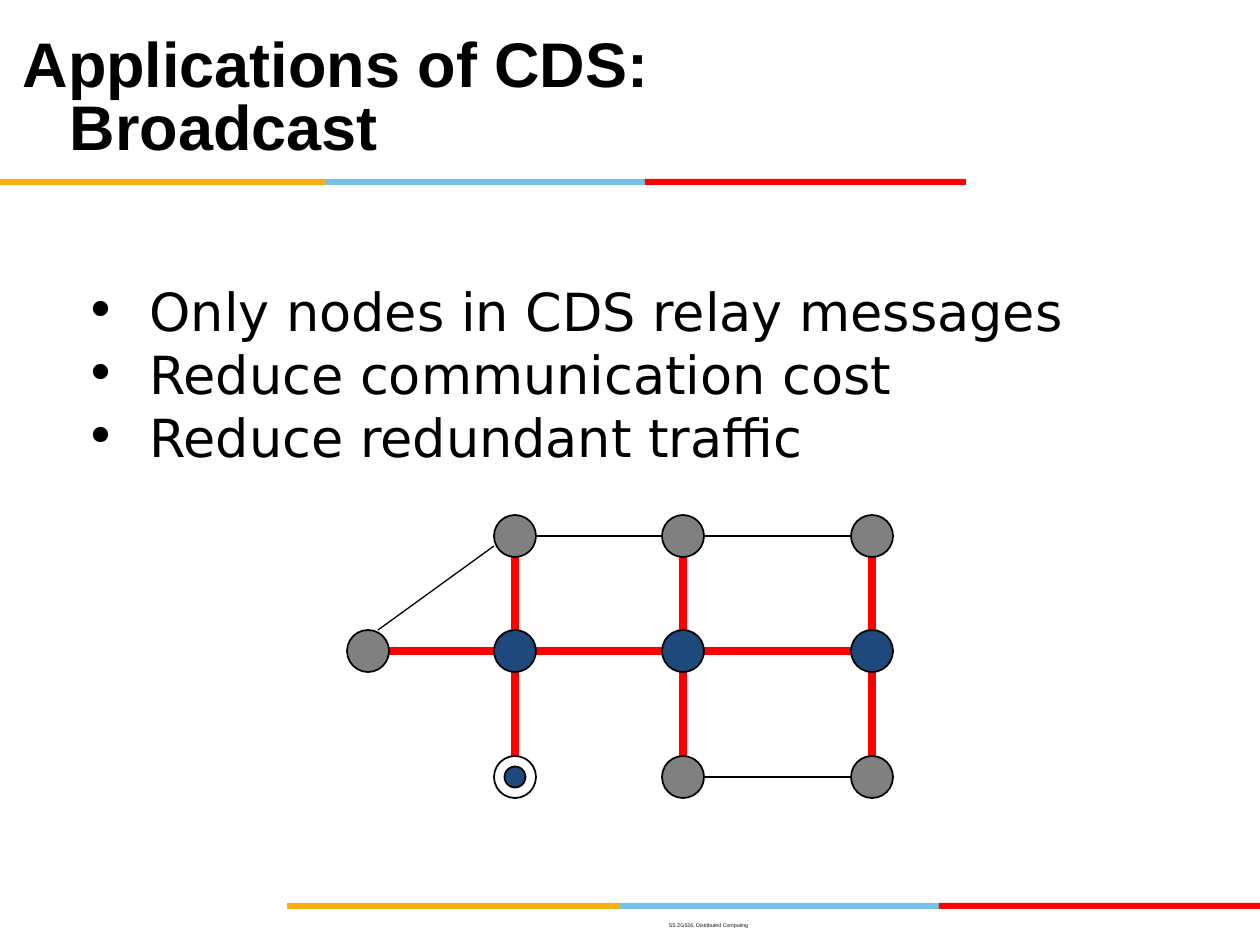
from dataclasses import dataclass

import pptx
import pptx.dml.color
import pptx.enum.shapes
import pptx.enum.text
import pptx.oxml
import pptx.oxml.ns
import pptx.util

PX = 914400 / 126
SHAPES = pptx.enum.shapes.MSO_SHAPE
ANCHOR = pptx.enum.text.MSO_ANCHOR
ALIGN = pptx.enum.text.PP_ALIGN
AUTO_SIZE = pptx.enum.text.MSO_AUTO_SIZE


@dataclass(frozen=True)
class Theme:
    ink: str = "000000"
    footer_ink: str = "111111"
    bars: tuple = ("FCB017", "76C2E5", "FF0000")
    relay: str = "FF0000"
    dominator: str = "1F497D"
    ordinary: str = "808080"
    source: str = "FFFFFF"
    heading_font: str = "Arial"
    body_font: str = "DejaVu Sans"
    title_size: int = 36
    body_size: int = 30
    footer_size: int = 3
    line_pitch: int = 36
    thin: float = 0.75
    outline: int = 1
    thick: float = 4.5


THEME = Theme()

NODE_SIZE = 42
COLUMNS = (368, 515, 683, 872)
ROWS = (536, 651, 777)
# Nodes are (column, row) positions in the network.
DOMINATORS = [(1, 1), (2, 1), (3, 1)]
ORDINARY = [(1, 0), (2, 0), (3, 0), (0, 1), (2, 2), (3, 2)]
SOURCE = (1, 2)
RELAY_EDGES = [((column, 1), (column + 1, 1)) for column in range(3)] + [
    ((column, row), (column, row + 1)) for column in (1, 2, 3) for row in (0, 1)
]
PLAIN_EDGES = [((1, 0), (2, 0)), ((2, 0), (3, 0)), ((2, 2), (3, 2))]


def px(value):
    return pptx.util.Emu(round(value * PX))


def rgb(value):
    return pptx.dml.color.RGBColor.from_string(value)


def place(shape, left, top, width, height):
    shape.left, shape.top = px(left), px(top)
    shape.width, shape.height = px(width), px(height)


def add_run(paragraph, text, font, size, color, bold=False):
    run = paragraph.add_run()
    run.text = text
    run.font.name = font
    run.font.size = pptx.util.Pt(size)
    run.font.bold = bold
    run.font.color.rgb = rgb(color)


def set_indent(paragraph, indent):
    """Hang the first line back by the left margin."""
    properties = paragraph._p.get_or_add_pPr()
    properties.set("marL", str(px(indent)))
    properties.set("indent", str(-px(indent)))
    return properties


def add_bullet(paragraph, color):
    properties = set_indent(paragraph, 64)
    namespace = pptx.oxml.ns.nsdecls("a")
    for xml in (
        f'<a:buClr {namespace}><a:srgbClr val="{color}"/></a:buClr>',
        f'<a:buFont {namespace} typeface="{THEME.body_font}"/>',
        f'<a:buChar {namespace} char="•"/>',
    ):
        properties.append(pptx.oxml.parse_xml(xml))


def fill_title(shape, text):
    place(shape, 10, 21, 956, 158)
    frame = shape.text_frame
    frame.word_wrap = True
    frame.auto_size = AUTO_SIZE.NONE
    frame.vertical_anchor = ANCHOR.MIDDLE
    paragraph = frame.paragraphs[0]
    set_indent(paragraph, 47)
    paragraph.alignment = ALIGN.LEFT
    paragraph.line_spacing = pptx.util.Pt(THEME.title_size)
    add_run(paragraph, text, THEME.heading_font, THEME.title_size, THEME.ink, bold=True)


def fill_list(shape, items):
    place(shape, 73, 273, 1092, 202)
    frame = shape.text_frame
    frame.word_wrap = True
    frame.auto_size = AUTO_SIZE.SHAPE_TO_FIT_TEXT
    for index, item in enumerate(items):
        paragraph = frame.add_paragraph() if index else frame.paragraphs[0]
        paragraph.line_spacing = pptx.util.Pt(THEME.line_pitch)
        paragraph.space_before = pptx.util.Pt(0)
        add_bullet(paragraph, THEME.ink)
        add_run(paragraph, item, THEME.body_font, THEME.body_size, THEME.ink)


def add_footer(slide, text):
    shape = slide.shapes.add_textbox(px(357), px(915), px(703), px(20))
    frame = shape.text_frame
    frame.word_wrap = True
    frame.vertical_anchor = ANCHOR.MIDDLE
    paragraph = frame.paragraphs[0]
    paragraph.alignment = ALIGN.CENTER
    add_run(paragraph, text, THEME.heading_font, THEME.footer_size, THEME.footer_ink)


def add_filled(slide, kind, left, top, width, height, color):
    shape = slide.shapes.add_shape(kind, px(left), px(top), px(width), px(height))
    shape.shadow.inherit = False
    shape.fill.solid()
    shape.fill.fore_color.rgb = rgb(color)
    return shape


def add_color_bar(slide, top, stops):
    for left, right, color in zip(stops, stops[1:], THEME.bars):
        bar = add_filled(slide, SHAPES.RECTANGLE, left, top, right - left, 6, color)
        bar.line.fill.background()


def add_node(slide, node, color, size=NODE_SIZE):
    column, row = node
    circle = add_filled(
        slide, SHAPES.OVAL, COLUMNS[column] - size / 2, ROWS[row] - size / 2, size, size, color
    )
    circle.line.color.rgb = rgb(THEME.ink)
    circle.line.width = pptx.util.Pt(THEME.outline)


def add_line(slide, start, end, color, width):
    line = slide.shapes.add_connector(
        pptx.enum.shapes.MSO_CONNECTOR.STRAIGHT, *map(px, (*start, *end))
    )
    line.line.color.rgb = rgb(color)
    line.line.width = pptx.util.Pt(width)
    effects = pptx.oxml.parse_xml(f'<a:effectLst {pptx.oxml.ns.nsdecls("a")}/>')
    line._element.spPr.append(effects)


def add_edge(slide, edge, color, width):
    """Join the facing rims of two nodes in the same row or column."""
    (column, row), (next_column, next_row) = edge
    radius = NODE_SIZE // 2
    across, down = radius * (next_column - column), radius * (next_row - row)
    start = (COLUMNS[column] + across, ROWS[row] + down)
    end = (COLUMNS[next_column] - across, ROWS[next_row] - down)
    add_line(slide, start, end, color, width)


def add_network(slide):
    add_line(slide, (378, 630), (494, 546), THEME.ink, THEME.thin)
    for edge in PLAIN_EDGES:
        add_edge(slide, edge, THEME.ink, THEME.thin)
    for edge in RELAY_EDGES:
        add_edge(slide, edge, THEME.relay, THEME.thick)
    for node in DOMINATORS:
        add_node(slide, node, THEME.dominator)
    for node in ORDINARY:
        add_node(slide, node, THEME.ordinary)
    add_node(slide, SOURCE, THEME.source)
    add_node(slide, SOURCE, THEME.dominator, NODE_SIZE // 2)


def main():
    presentation = pptx.Presentation()
    presentation.slide_width, presentation.slide_height = px(1260), px(945)
    slide = presentation.slides.add_slide(presentation.slide_layouts[1])
    add_color_bar(slide, 903, (287, 620, 939, 1260))
    add_color_bar(slide, 179, (0, 325, 645, 966))
    add_network(slide)
    fill_title(slide.shapes.title, "Applications of CDS: Broadcast")
    fill_list(
        slide.placeholders[1],
        (
            "Only nodes in CDS relay messages",
            "Reduce communication cost",
            "Reduce redundant traffic",
        ),
    )
    add_footer(slide, "SS ZG526, Distributed Computing")
    presentation.save("out.pptx")


if __name__ == "__main__":
    main()
